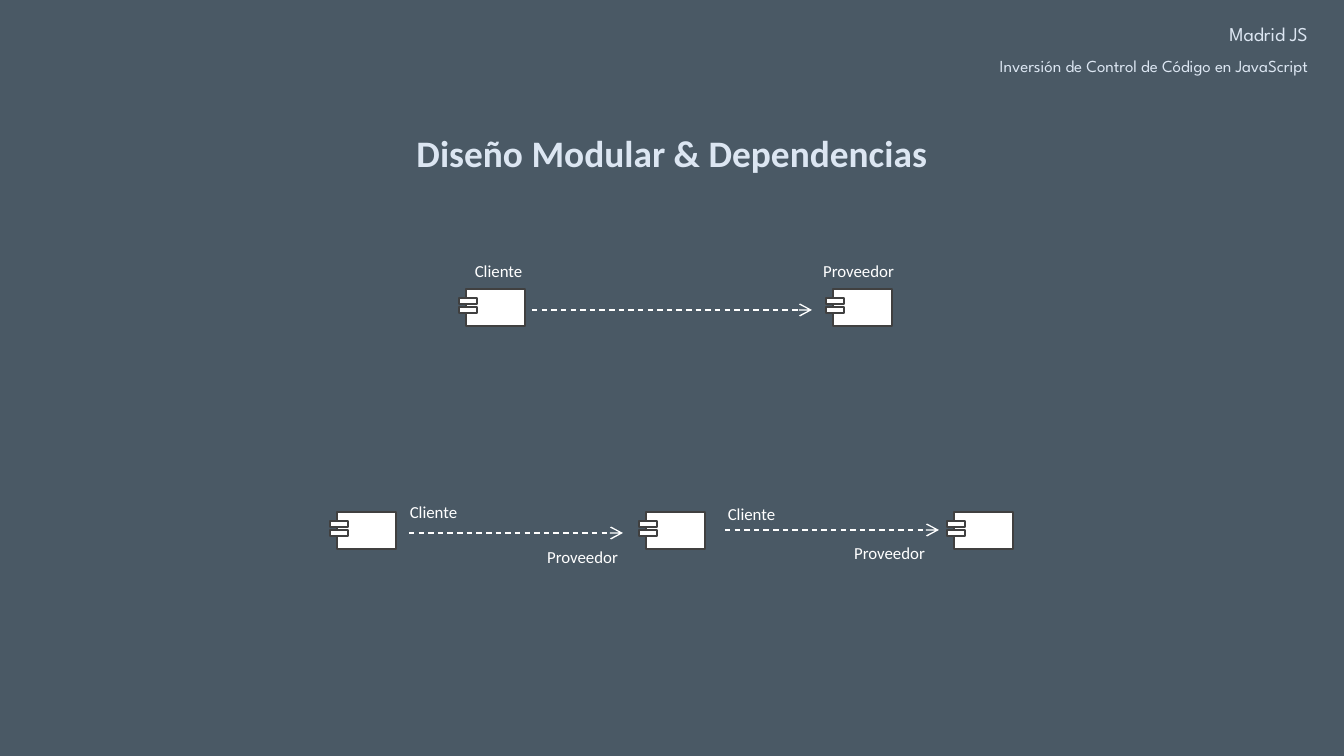
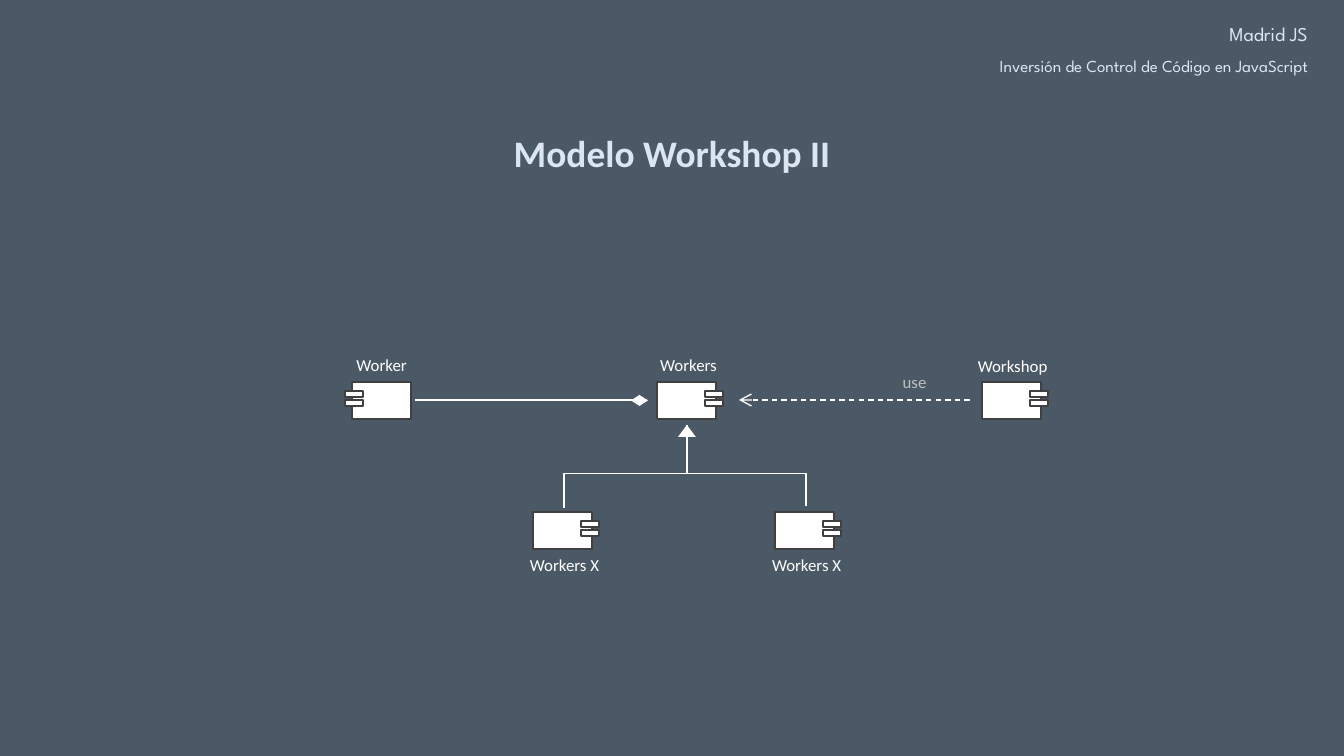
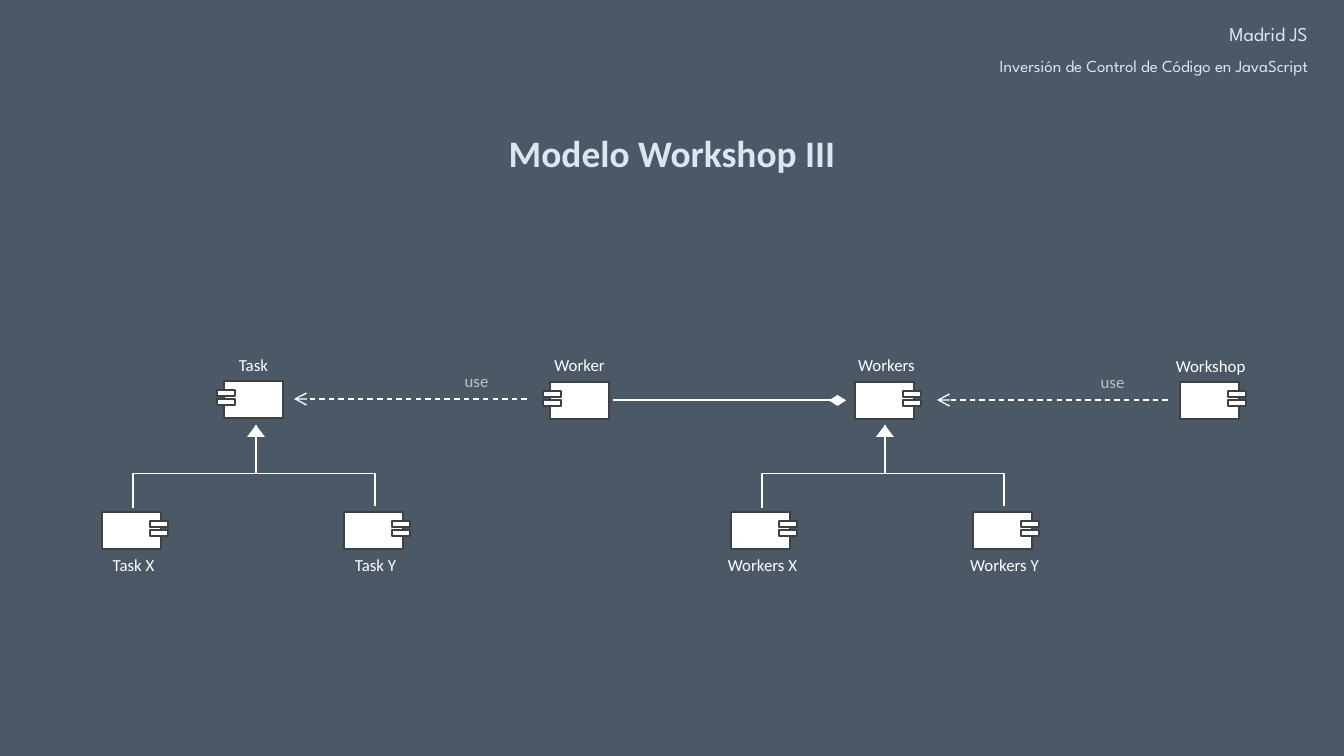
from lxml import etree
from pptx import Presentation
from pptx import util as u
from pptx.dml.color import RGBColor
from pptx.enum import dml, shapes, text
from pptx.oxml import ns

SLATE = RGBColor(0x2B, 0x3C, 0x4B)
PALE_BLUE = RGBColor(0xDC, 0xE6, 0xF2)
WHITE = RGBColor(0xFF, 0xFF, 0xFF)
CHARCOAL = RGBColor(0x40, 0x40, 0x40)
SILVER = RGBColor(0xBF, 0xBF, 0xBF)
BODY_FONT = "Calibri"
HEADER_FONT = "League Spartan"

WIDTH, HEIGHT = 1344, 756
BODY_WIDTH, BODY_HEIGHT = 59, 37
TAB_WIDTH, TAB_HEIGHT, TAB_OVERHANG = 18, 6, 7
CLIENT_WIDTH, LABEL_WIDTH = 83, 101


def px(length):
    """Turn pixels into EMU."""
    return u.Emu(round(length * 914400 / 134.4))


def add_figure(page, kind, left, top, width, height, fill=WHITE, outline=None):
    """Draw a filled preset shape, outlined if a colour is given."""
    figure = page.shapes.add_shape(kind, px(left), px(top), px(width), px(height))
    figure.shadow.inherit = False
    figure.fill.solid()
    figure.fill.fore_color.rgb = fill
    if outline is None:
        figure.line.fill.background()
    else:
        figure.line.color.rgb = outline
        figure.line.width = u.Pt(0.75)
    return figure


def style_paragraph(para, words, size, font, colour, align, bold=False):
    """Write one paragraph in a single style."""
    para.text = words
    para.alignment = align
    para.font.size = u.Pt(size)
    para.font.name = font
    para.font.bold = bold
    para.font.color.rgb = colour


def add_text_frame(page, left, top, width, height, wrap=True):
    """Add a text box and return its frame."""
    box = page.shapes.add_textbox(px(left), px(top), px(width), px(height))
    box.text_frame.word_wrap = wrap
    return box.text_frame


def add_label(page, words, left, top, width=LABEL_WIDTH, colour=WHITE):
    """Write a small centred label."""
    frame = add_text_frame(page, left, top, width, 24)
    frame.margin_top = 0
    frame.margin_bottom = u.Inches(0.05)
    style_paragraph(frame.paragraphs[0], words, 9, BODY_FONT, colour,
                    text.PP_ALIGN.CENTER)


def add_line(page, start, end, kind=shapes.MSO_CONNECTOR.STRAIGHT):
    """Draw a thin white connector."""
    line = page.shapes.add_connector(kind, *(px(value) for value in start + end))
    line.line.color.rgb = WHITE
    line.line.width = u.Pt(0.75)
    etree.SubElement(line._element.spPr, ns.qn("a:effectLst"))
    return line


def add_dependency(page, start, end, y):
    """Draw a dashed horizontal arrow."""
    line = add_line(page, (start, y), (end, y)).line
    line.dash_style = dml.MSO_LINE.DASH
    etree.SubElement(line._get_or_add_ln(), ns.qn("a:tailEnd"), type="arrow")


def add_component(page, left, top, mirrored=False):
    """Draw a component symbol with its two tabs on one side."""
    rectangle = shapes.MSO_SHAPE.RECTANGLE
    add_figure(page, rectangle, left, top, BODY_WIDTH, BODY_HEIGHT, outline=CHARCOAL)
    offset = BODY_WIDTH + TAB_OVERHANG - TAB_WIDTH if mirrored else -TAB_OVERHANG
    for drop in (9, 18):
        add_figure(page, rectangle, left + offset, top + drop,
                   TAB_WIDTH, TAB_HEIGHT, outline=CHARCOAL)


def add_bracket(page, left, right, bar, foot):
    """Draw an elbow connector that rises from two feet to a bar."""
    middle, rise = (left + right) / 2, 2
    centre, half = foot - rise / 2, (right - left) / 2
    bracket = add_line(page, (middle + rise / 2, centre + half),
                       (middle - rise / 2, centre - half),
                       shapes.MSO_CONNECTOR.ELBOW)
    properties = bracket._element.spPr
    properties.find(ns.qn("a:xfrm")).set("rot", str(90 * 60000))
    guides = properties.find(ns.qn("a:prstGeom")).find(ns.qn("a:avLst"))
    ratio = round((foot - bar) / rise * 100000)
    etree.SubElement(guides, ns.qn("a:gd"), name="adj1", fmla=f"val {ratio}")


def add_inheritance(page, stem, children):
    """Draw two child components that inherit from the one above the stem."""
    add_figure(page, shapes.MSO_SHAPE.ISOSCELES_TRIANGLE, stem - 9, 425, 18, 12)
    add_line(page, (stem, 474), (stem, 425))
    feet = (stem - 123, stem + 119)
    add_bracket(page, *feet, bar=474, foot=508)
    for foot, name in zip(feet, children):
        add_component(page, foot - 31, 512, mirrored=True)
        add_label(page, name, foot - 50, 555)


def add_worker_chain(page, shift, children):
    """Draw Worker, Workers and Workshop with their relations."""
    add_component(page, shift + 352, 382)
    add_label(page, "Worker", shift + 340, 355, CLIENT_WIDTH)
    add_line(page, (shift + 415, 400), (shift + 647, 400))
    add_figure(page, shapes.MSO_SHAPE.DIAMOND, shift + 631, 395, 17, 11)
    add_component(page, shift + 657, 382, mirrored=True)
    add_label(page, "Workers", shift + 638, 355)
    add_dependency(page, shift + 970, shift + 739, 400)
    add_label(page, "use", shift + 864, 372, colour=SILVER)
    add_component(page, shift + 982, 382, mirrored=True)
    add_label(page, "Workshop", shift + 962, 356)
    add_inheritance(page, shift + 687, children)


def add_page(deck, title, title_width):
    """Add a slide with the shared background, header and title."""
    page = deck.slides.add_slide(deck.slide_layouts[6])
    veil = add_figure(page, shapes.MSO_SHAPE.RECTANGLE, 0, 0, WIDTH, HEIGHT, SLATE)
    colour = veil._element.spPr.find(ns.qn("a:solidFill"))[0]
    etree.SubElement(colour, ns.qn("a:alpha"), val="85000")

    header = add_text_frame(page, 817, 20, 504, 47)
    first, second = header.paragraphs[0], header.add_paragraph()
    style_paragraph(first, "Madrid JS", 10.5, HEADER_FONT, PALE_BLUE,
                    text.PP_ALIGN.RIGHT)
    style_paragraph(second, "Inversión de Control de Código en JavaScript", 9,
                    HEADER_FONT, PALE_BLUE, text.PP_ALIGN.RIGHT)
    first.line_spacing = u.Pt(10)
    second.line_spacing = u.Pt(14.6)
    second.space_before = u.Pt(1.8)

    frame = add_text_frame(page, (WIDTH - title_width) / 2, 124, title_width, 59,
                           wrap=False)
    frame.auto_size = text.MSO_AUTO_SIZE.SHAPE_TO_FIT_TEXT
    style_paragraph(frame.paragraphs[0], title, 20, BODY_FONT, PALE_BLUE,
                    text.PP_ALIGN.CENTER, bold=True)
    return page


def add_dependencies_page(deck):
    """Show a single dependency and a chain of two."""
    page = add_page(deck, "Diseño Modular & Dependencias", 543)
    for left in (466, 833):
        add_component(page, left, 289)
    add_dependency(page, 532, 812, 310)
    for left in (337, 646, 954):
        add_component(page, left, 512)
    add_dependency(page, 409, 623, 533)
    add_dependency(page, 725, 939, 530)
    for left, top in ((457, 261), (392, 502), (710, 504)):
        add_label(page, "Cliente", left, top, CLIENT_WIDTH)
    for left, top in ((808, 261), (532, 547), (839, 543)):
        add_label(page, "Proveedor", left, top)


def add_workers_page(deck):
    """Show the workshop model with two kinds of workers."""
    page = add_page(deck, "Modelo Workshop II", 347)
    add_worker_chain(page, 0, ("Workers X", "Workers X"))


def add_tasks_page(deck):
    """Show the workshop model extended with tasks."""
    page = add_page(deck, "Modelo Workshop III", 356)
    add_worker_chain(page, 198, ("Workers X", "Workers Y"))
    add_component(page, 224, 381)
    add_label(page, "Task", 203, 355)
    add_dependency(page, 527, 294, 399)
    add_label(page, "use", 426, 371, colour=SILVER)
    add_inheritance(page, 256, ("Task X", "Task Y"))


def main():
    """Build and save the deck."""
    deck = Presentation()
    deck.slide_width, deck.slide_height = px(WIDTH), px(HEIGHT)
    add_dependencies_page(deck)
    add_workers_page(deck)
    add_tasks_page(deck)
    deck.save("out.pptx")


if __name__ == "__main__":
    main()
